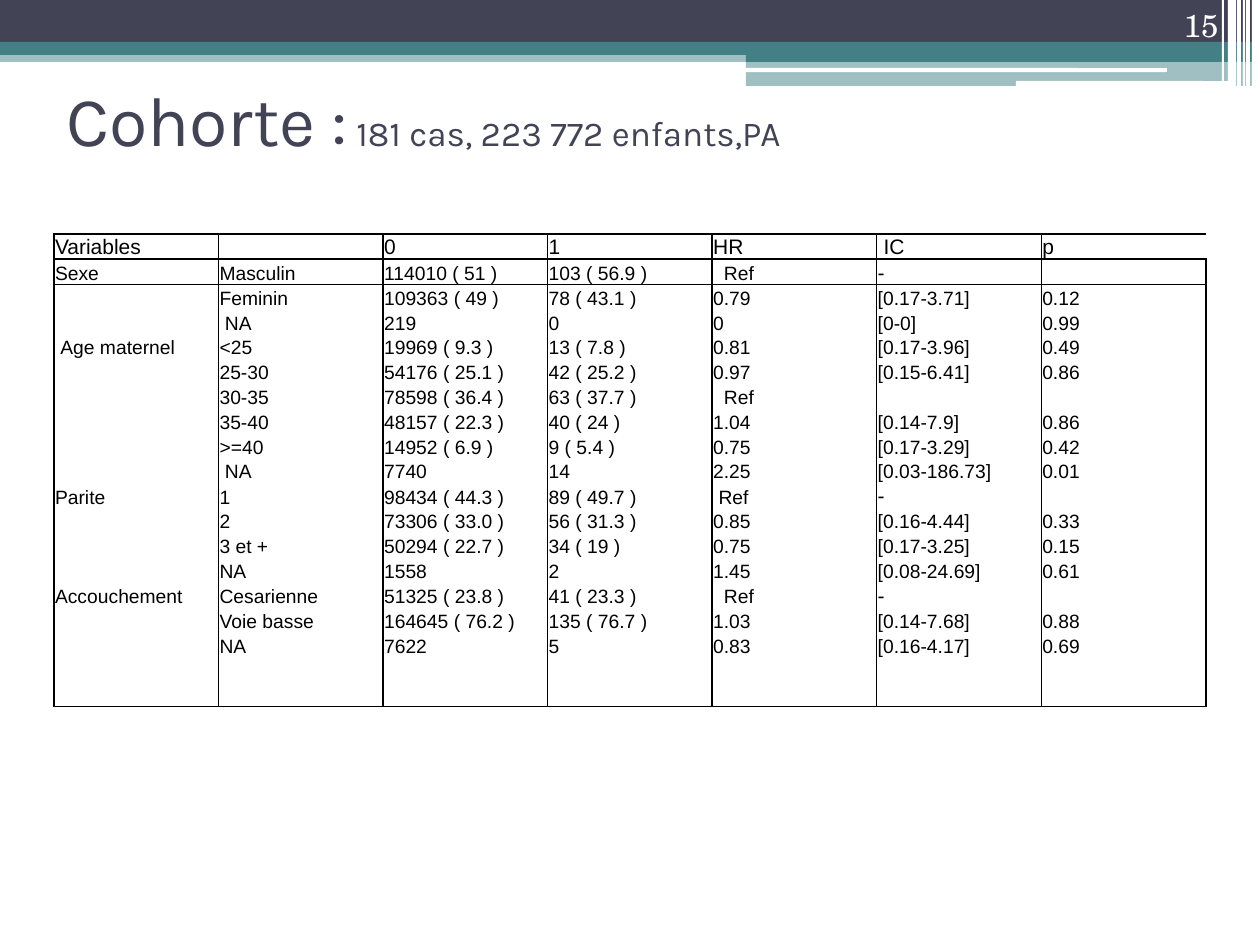
from lxml.etree import SubElement as add_element
from pptx import Presentation
from pptx.dml.color import RGBColor
from pptx.enum.shapes import MSO_SHAPE as Shape
from pptx.enum.text import MSO_ANCHOR as Anchor, PP_ALIGN as Align
from pptx.oxml.ns import qn
from pptx.util import Pt

SCALE = 914400 // 126
NAVY, TEAL, WHITE, BLACK = "424456", "438086", "FFFFFF", "000000"


def px(*lengths):
    """Turn pixel lengths into a list of EMU."""
    return [length * SCALE for length in lengths]


def style(run, size, font, color):
    """Set the size, font and hex colour of a run."""
    run.font.size, run.font.name = Pt(size), font
    run.font.color.rgb = RGBColor.from_string(color)


presentation = Presentation()
presentation.slide_width, presentation.slide_height = px(1260, 945)
slide = presentation.slides.add_slide(presentation.slide_layouts[6])

# Header bands: left, top, width, height, colour, opacity, preset
bands = [
    (0, 50, 1260, 12, TEAL, 50, Shape.RECTANGLE),
    (0, 0, 1260, 42, NAVY, 100, Shape.RECTANGLE),
    (0, 42, 1260, 13, TEAL, 100, Shape.RECTANGLE),
    (746, 49, 514, 13, TEAL, 100, Shape.RECTANGLE),
    (746, 62, 514, 24, TEAL, 50, Shape.RECTANGLE),
    (745, 68, 422, 4, WHITE, 100, Shape.ROUNDED_RECTANGLE),
    (1016, 81, 220, 5, WHITE, 100, Shape.ROUNDED_RECTANGLE),
]
stripes = [(1252, 8, 86), (1246, 4, 86), (1243, 2, 86),
           (1237, 4, 86), (1228, 8, 81), (1222, 2, 81)]
bands += [(left, 0, width, height, WHITE, 100, Shape.RECTANGLE)
          for left, width, height in stripes]
for left, top, width, height, color, opacity, preset in bands:
    shape = slide.shapes.add_shape(preset, *px(left, top, width, height))
    shape.shadow.inherit = False
    shape.line.fill.background()
    shape.fill.solid()
    shape.fill.fore_color.rgb = RGBColor.from_string(color)
    if opacity < 100:
        hex_color = shape.fill._xPr.find(".//" + qn("a:srgbClr"))
        add_element(hex_color, qn("a:alpha"), val=str(opacity * 1000))

# Title and slide number
texts = [
    ((54, 45, 1134, 147), Anchor.MIDDLE, Align.LEFT,
     [("Cohorte :", 40, "Karla", NAVY),
      (" 181 cas, 223 772 enfants,PA", 20, "Karla", NAVY)]),
    ((1126, 0, 105, 50), Anchor.BOTTOM, Align.RIGHT,
     [("15", 18, "TeX Gyre Schola", WHITE)]),
]
for box, anchor, alignment, parts in texts:
    text_frame = slide.shapes.add_textbox(*px(*box)).text_frame
    text_frame.word_wrap = True
    text_frame.vertical_anchor = anchor
    paragraph = text_frame.paragraphs[0]
    paragraph.alignment = alignment
    for text, size, font, color in parts:
        run = paragraph.add_run()
        run.text = text
        style(run, size, font, color)

# Cohort table
rows = [
    ("Variables", "", "0", "1", "HR", "\u00a0IC", "p"),
    ("Sexe", "Masculin", "114010 ( 51 )", "103 ( 56.9 )", "\u00a0 Ref", "-", ""),
    ("", "Feminin", "109363 ( 49 )", "78 ( 43.1 )", "0.79", "[0.17-3.71]", "0.12"),
    ("", "\u00a0NA", "219", "0", "0", "[0-0]", "0.99"),
    ("\u00a0Age maternel", "<25", "19969 ( 9.3 )", "13 ( 7.8 )", "0.81", "[0.17-3.96]", "0.49"),
    ("", "25-30", "54176 ( 25.1 )", "42 ( 25.2 )", "0.97", "[0.15-6.41]", "0.86"),
    ("", "30-35", "78598 ( 36.4 )", "63 ( 37.7 )", "\u00a0 Ref", "", ""),
    ("", "35-40", "48157 ( 22.3 )", "40 ( 24 )", "1.04", "[0.14-7.9]", "0.86"),
    ("", ">=40", "14952 ( 6.9 )", "9 ( 5.4 )", "0.75", "[0.17-3.29]", "0.42"),
    ("", "\u00a0NA", "7740", "14", "2.25", "[0.03-186.73]", "0.01"),
    ("Parite", "1", "98434 ( 44.3 )", "89 ( 49.7 )", "\u00a0Ref", "-", ""),
    ("", "2", "73306 ( 33.0 )", "56 ( 31.3 )", "0.85", "[0.16-4.44]", "0.33"),
    ("", "3 et +", "50294 ( 22.7 )", "34 ( 19 )", "0.75", "[0.17-3.25]", "0.15"),
    ("", "NA", "1558", "2", "1.45", "[0.08-24.69]", "0.61"),
    ("Accouchement", "Cesarienne", "51325 ( 23.8 )", "41 ( 23.3 )", "\u00a0 Ref", "-", ""),
    ("", "Voie basse", "164645 ( 76.2 )", "135 ( 76.7 )", "1.03", "[0.14-7.68]", "0.88"),
    ("", "NA", "7622", "5", "0.83", "[0.16-4.17]", "0.69"),
    ("",) * 7,
]
last_row, last_column = len(rows) - 1, len(rows[0]) - 1
table = slide.shapes.add_table(
    len(rows), len(rows[0]), *px(54, 234, 1152, 471)).table
table.first_row = table.horz_banding = False
body_height, last_height = px(422, 49)
for row in table.rows:
    row.height = body_height // last_row
table.rows[last_row].height = last_height

for row_index, row in enumerate(rows):
    for column_index, text in enumerate(row):
        cell = table.cell(row_index, column_index)
        cell.margin_left, cell.margin_right = px(1, 1)
        cell.margin_top = cell.margin_bottom = 0
        cell.vertical_anchor = Anchor.BOTTOM
        cell.text = text
        paragraph = cell.text_frame.paragraphs[0]
        for run in paragraph.runs:
            style(run, 12 if row_index == 0 or text == "-" else 11, "Arial", BLACK)
        if not text:
            add_element(paragraph._p, qn("a:endParaRPr"), sz="1100")

        borders = {
            "a:lnL": True,
            "a:lnR": (row_index, column_index) != (0, last_column),
            "a:lnT": row_index <= 2,
            "a:lnB": row_index in (0, 1, last_row),
        }
        properties = cell._tc.get_or_add_tcPr()
        for side, visible in borders.items():
            border = add_element(properties, qn(side), w=str(Pt(1)))
            if visible:
                fill = add_element(border, qn("a:solidFill"))
                add_element(fill, qn("a:srgbClr"), val=BLACK)
            else:
                add_element(border, qn("a:noFill"))
        cell.fill.background()

presentation.save("out.pptx")
